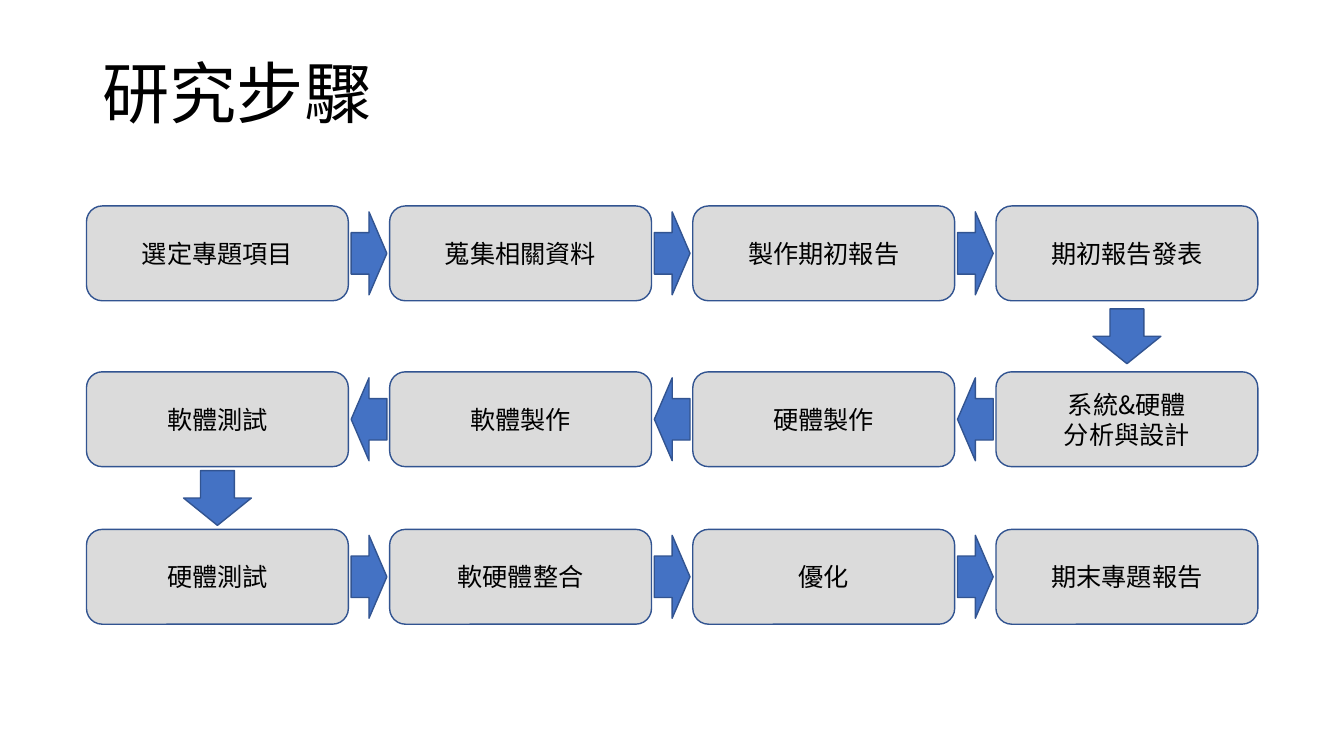
"""Build the research steps slide: a winding flow of twelve boxes."""
from lxml import etree
from pptx import Presentation
from pptx.dml.color import RGBColor
from pptx.enum.shapes import MSO_SHAPE
from pptx.enum.text import MSO_ANCHOR, PP_ALIGN
from pptx.oxml.ns import qn
from pptx.util import Cm, Pt

BOX, ARROW = MSO_SHAPE.ROUNDED_RECTANGLE, MSO_SHAPE.RIGHT_ARROW
LEFT, CENTER, MIDDLE = PP_ALIGN.LEFT, PP_ALIGN.CENTER, MSO_ANCHOR.MIDDLE
BLACK = RGBColor(0x00, 0x00, 0x00)
GRAY = RGBColor(0xDB, 0xDB, 0xDB)
BLUE = RGBColor(0x44, 0x72, 0xC4)
NAVY = RGBColor(0x32, 0x54, 0x91)
FONT = "Noto Sans CJK SC"

BOX_W, BOX_H = 6.6, 2.39
FIRST_X, PITCH = 2.18, 7.64
ROW_TOPS = [5.19, 9.37, 13.34]
STEPS = [
    ["選定專題項目", "蒐集相關資料", "製作期初報告", "期初報告發表"],
    ["軟體測試", "軟體製作", "硬體製作", "系統&硬體\n分析與設計"],
    ["硬體測試", "軟硬體整合", "優化", "期末專題報告"],
]
ROW_TURNS = [0, 180, 0]
DOWN_COLUMNS = [3, 0]


def write(sp, text, size, align, spacing=None):
    tf = sp.text_frame
    tf.word_wrap = True
    tf.vertical_anchor = MIDDLE
    tf.text = text
    for p in tf.paragraphs:
        p.alignment = align
        p.line_spacing = spacing
        for r in p.runs:
            r.font.size = Pt(size)
            r.font.name = FONT
            r.font.color.rgb = BLACK
            ea = etree.SubElement(r.font._element, qn("a:ea"))
            ea.set("typeface", FONT)


def add_block(kind, cx, cy, w, h, fill, turn=0):
    sp = s.shapes.add_shape(kind, Cm(cx - w / 2), Cm(cy - h / 2), Cm(w), Cm(h))
    sp.shadow.inherit = False
    sp.fill.solid()
    sp.fill.fore_color.rgb = fill
    sp.line.color.rgb = NAVY
    sp.line.width = Pt(1)
    sp.rotation = turn
    return sp


prs = Presentation()
prs.slide_width, prs.slide_height = Cm(33.87), Cm(19.05)
s = prs.slides.add_slide(prs.slide_layouts[5])

title = s.shapes.title
title.left, title.top, title.width, title.height = Cm(2.33), Cm(1.01), Cm(29.21), Cm(2.87)
write(title, "研究步驟", 48, LEFT, 0.9)

centers_x = [FIRST_X + BOX_W / 2 + i * PITCH for i in range(4)]
centers_y = [top + BOX_H / 2 for top in ROW_TOPS]

for cy, steps, turn in zip(centers_y, STEPS, ROW_TURNS):
    for cx, step in zip(centers_x, steps):
        write(add_block(BOX, cx, cy, BOX_W, BOX_H, GRAY), step, 18, CENTER)
    for cx in centers_x[:3]:
        add_block(ARROW, cx + PITCH / 2, cy, 0.9, 2.09, BLUE, turn)

for row, column in enumerate(DOWN_COLUMNS):
    cy = (centers_y[row] + centers_y[row + 1]) / 2
    add_block(ARROW, centers_x[column], cy, 1.38, 1.71, BLUE, 90)

prs.save("out.pptx")
